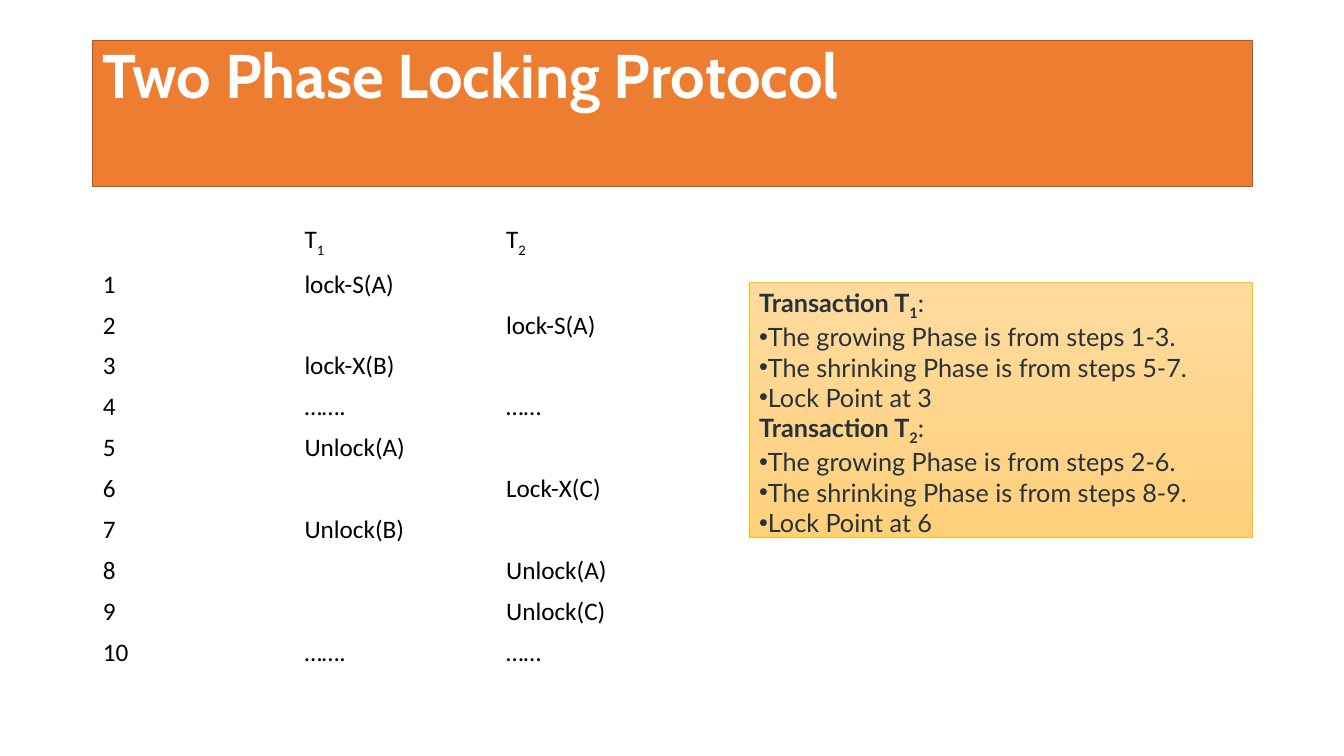
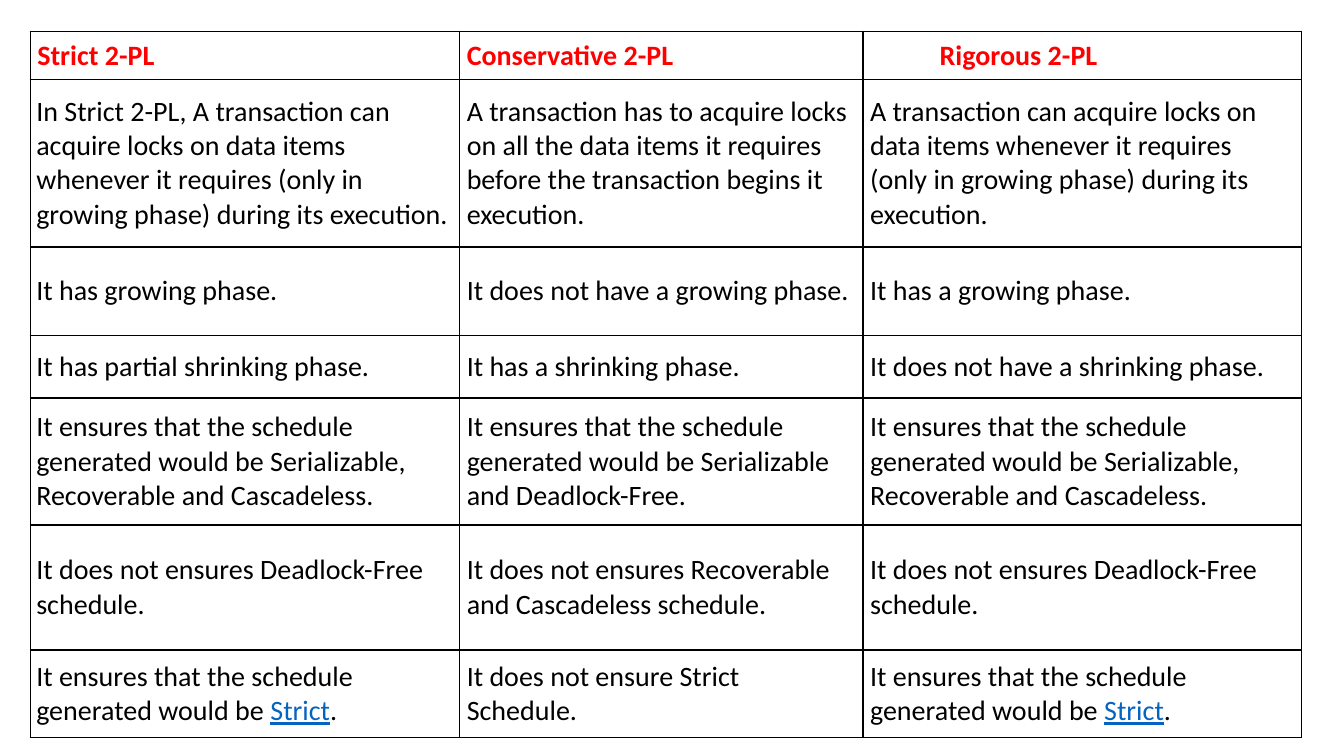
from dataclasses import dataclass

from lxml import etree
from pptx import Presentation
from pptx.dml.color import RGBColor
from pptx.enum import text as t
from pptx.oxml.ns import qn
from pptx.util import Inches, Pt


@dataclass(frozen=True)
class Theme:
    white: str = "FFFFFF"
    black: str = "000000"
    red: str = "FF0000"
    link: str = "0563C1"
    slate: str = "273239"
    orange: str = "ED7D31"
    rust: str = "AF5C24"
    gold: str = "FFC000"
    sand_light: str = "FFDB9E"
    sand_dark: str = "FFD07C"
    title_font: str = "Cabin"
    table_font: str = "Calibri"
    note_font: str = "Lato"
    title_size: int = 44
    body_size: int = 18
    comparison_size: int = 20


THEME = Theme()


def add_run(paragraph, words, font, size, color, bold=False, underline=False, subscript=False):
    run = paragraph.add_run()
    run.text = words
    run.font.name = font
    run.font.size = Pt(size)
    run.font.bold = bold
    run.font.underline = underline
    run.font.color.rgb = RGBColor.from_string(color)
    if subscript:
        run._r.get_or_add_rPr().set("baseline", "-25000")


def add_grid(slide, left, top, widths, heights):
    grid = slide.shapes.add_table(
        len(heights), len(widths), Inches(left), Inches(top),
        Inches(sum(widths)), Inches(sum(heights))).table
    for column, width in zip(grid.columns, widths):
        column.width = Inches(width)
    for row, height in zip(grid.rows, heights):
        row.height = Inches(height)
    for cell in grid.iter_cells():
        cell.fill.solid()
        cell.fill.fore_color.rgb = RGBColor.from_string(THEME.white)
        cell.vertical_anchor = t.MSO_ANCHOR.MIDDLE
    return grid


deck = Presentation()
deck.slide_width = Inches(13.33)
deck.slide_height = Inches(7.5)

# Slide 1: two phase locking
protocol = deck.slides.add_slide(deck.slide_layouts[1])

# Title band
heading = protocol.shapes.title
heading.left, heading.top = Inches(0.92), Inches(0.4)
heading.width, heading.height = Inches(11.5), Inches(1.45)
heading.fill.solid()
heading.fill.fore_color.rgb = RGBColor.from_string(THEME.orange)
heading.line.color.rgb = RGBColor.from_string(THEME.rust)
heading.line.width = Pt(1)
heading.text_frame.auto_size = t.MSO_AUTO_SIZE.NONE
heading.text_frame.vertical_anchor = t.MSO_ANCHOR.TOP
heading_line = heading.text_frame.paragraphs[0]
heading_line.alignment = t.PP_ALIGN.LEFT
heading_line.line_spacing = 0.9
add_run(heading_line, "Two Phase Locking Protocol", THEME.title_font,
        THEME.title_size, THEME.white, bold=True)

# Schedule of lock steps: (T1, T2) per step
steps = [
    ("lock-S(A)", ""),
    ("", "lock-S(A)"),
    ("lock-X(B)", ""),
    ("…….", "……"),
    ("Unlock(A)", ""),
    ("", "Lock-X(C)"),
    ("Unlock(B)", ""),
    ("", "Unlock(A)"),
    ("", "Unlock(C)"),
    ("…….", "……"),
]
step_height = 4.06 / len(steps)
schedule = add_grid(protocol, 0.92, 2.18, [2, 2, 2], [0.43] + [step_height] * len(steps))
for number in (1, 2):
    transaction = schedule.cell(0, number).text_frame.paragraphs[0]
    add_run(transaction, "T", THEME.table_font, THEME.body_size, THEME.black)
    add_run(transaction, str(number), THEME.table_font, THEME.body_size,
            THEME.black, subscript=True)
for step, actions in enumerate(steps, start=1):
    for column, words in enumerate((str(step), *actions)):
        if words:
            add_run(schedule.cell(step, column).text_frame.paragraphs[0], words,
                    THEME.table_font, THEME.body_size, THEME.black)

# Phases of each transaction
phases = protocol.placeholders[1]
phases.left, phases.top = Inches(7.43), Inches(2.8)
phases.width, phases.height = Inches(4.99), Inches(2.53)
phases.fill.gradient()
phases.fill.gradient_angle = 270
for stop, color in zip(phases.fill.gradient_stops, (THEME.sand_light, THEME.sand_dark)):
    stop.color.rgb = RGBColor.from_string(color)
phases.line.color.rgb = RGBColor.from_string(THEME.gold)
phases.line.width = Pt(0.5)
phases.text_frame.auto_size = t.MSO_AUTO_SIZE.NONE
phases.text_frame.vertical_anchor = t.MSO_ANCHOR.TOP

note_lines = []
for number, growing, shrinking, lock_point in [("1", "1-3", "5-7", "3"), ("2", "2-6", "8-9", "6")]:
    note_lines += [
        (False, [("Transaction T", True, False), (number, True, True), (":", False, False)]),
        (True, [(f"The growing Phase is from steps {growing}.", False, False)]),
        (True, [(f"The shrinking Phase is from steps {shrinking}.", False, False)]),
        (True, [(f"Lock Point at {lock_point}", False, False)]),
    ]
for index, (bulleted, runs) in enumerate(note_lines):
    frame = phases.text_frame
    line = frame.paragraphs[0] if index == 0 else frame.add_paragraph()
    line.space_before = Pt(0)
    properties = line._p.get_or_add_pPr()
    properties.set("marL", "0")
    properties.set("indent", "0")
    if bulleted:
        etree.SubElement(properties, qn("a:buChar")).set("char", "•")
    else:
        etree.SubElement(properties, qn("a:buNone"))
    for words, bold, subscript in runs:
        add_run(line, words, THEME.note_font, THEME.body_size, THEME.slate,
                bold=bold, subscript=subscript)

# Slide 2: comparison of the 2-PL variants
variants = deck.slides.add_slide(deck.slide_layouts[6])
acquire = "can acquire locks on data items whenever it requires (only in growing phase) during its execution."
ensures = "It ensures that the schedule generated would be "
strict_link = "Strict"
recoverable = ensures + "Serializable, Recoverable and Cascadeless."
no_deadlock_free = "It does not ensures Deadlock-Free schedule."
comparison_rows = [
    ("Strict 2-PL", "Conservative 2-PL", "Rigorous 2-PL"),
    ("In Strict 2-PL, A transaction " + acquire,
     "A transaction has to acquire locks on all the data items it requires "
     "before the transaction begins it execution.",
     "A transaction " + acquire),
    ("It has growing phase.", "It does not have a growing phase.", "It has a growing phase."),
    ("It has partial shrinking phase.", "It has a shrinking phase.",
     "It does not have a shrinking phase."),
    (recoverable, ensures + "Serializable and Deadlock-Free.", recoverable),
    (no_deadlock_free, "It does not ensures Recoverable and Cascadeless schedule.",
     no_deadlock_free),
    ((ensures, strict_link, "."), "It does not ensure Strict Schedule.",
     (ensures, strict_link, ".")),
]
comparison = add_grid(variants, 0.3, 0.31, [4.26, 4, 4.35],
                      [0.48, 1.66, 0.88, 0.62, 1.26, 1.24, 0.87])
for row, entries in enumerate(comparison_rows):
    for column, entry in enumerate(entries):
        cell = comparison.cell(row, column)
        cell.margin_left = cell.margin_right = Inches(0.07 if column or not row else 0.06)
        cell.margin_top = cell.margin_bottom = Inches(0.03)
        is_header = row == 0
        for words in (entry,) if isinstance(entry, str) else entry:
            is_link = words == strict_link
            color = THEME.red if is_header else THEME.link if is_link else THEME.black
            add_run(cell.text_frame.paragraphs[0], words, THEME.table_font,
                    THEME.comparison_size, color, bold=is_header, underline=is_link)

        # Cell borders come before the fill in the cell properties
        cell_properties = cell._tc.get_or_add_tcPr()
        for position, side in enumerate(("a:lnL", "a:lnR", "a:lnT", "a:lnB")):
            border = etree.Element(qn(side), w=str(Pt(1)))
            ink = etree.SubElement(border, qn("a:solidFill"))
            etree.SubElement(ink, qn("a:srgbClr")).set("val", THEME.black)
            cell_properties.insert(position, border)

# The last heading is set in from its column edge
comparison.cell(0, 2).margin_left = Inches(0.76)

deck.save("out.pptx")
